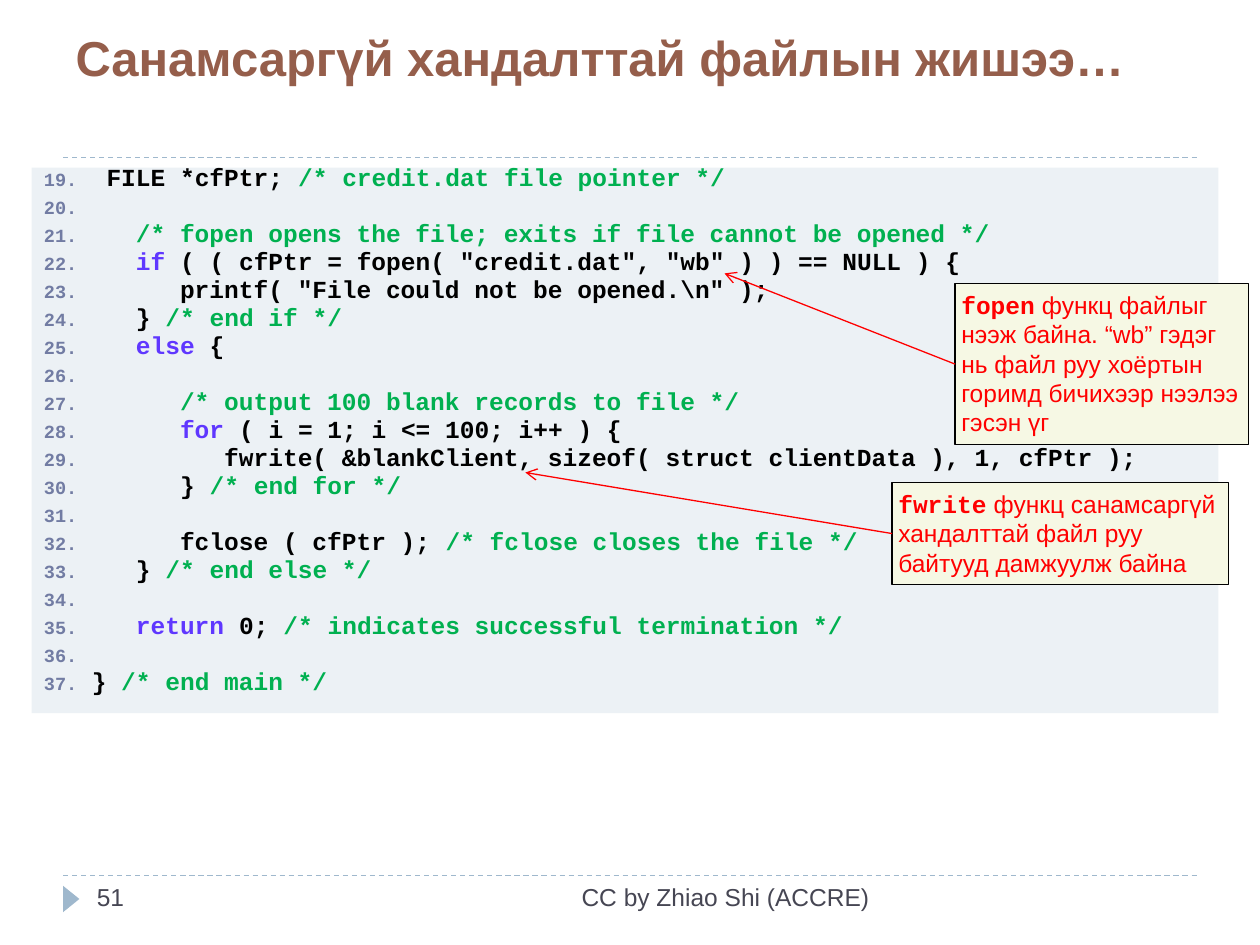
from lxml import etree
from pptx import Presentation
from pptx import util as u
from pptx.dml.color import RGBColor
from pptx.enum import dml, shapes, text
from pptx.oxml import ns

BROWN = RGBColor(0x95, 0x5E, 0x4B)
SLATE = RGBColor(0x46, 0x46, 0x53)
SKY = RGBColor(0x9F, 0xB8, 0xCD)
PANEL = RGBColor(0xEC, 0xF1, 0xF5)
CREAM = RGBColor(0xF6, 0xF8, 0xE4)
RED = RGBColor(0xFF, 0x00, 0x00)
BLACK = RGBColor(0x00, 0x00, 0x00)
GREEN = RGBColor(0x00, 0xB0, 0x50)
VIOLET = RGBColor(0x5F, 0x37, 0xFF)
NUMBER_COLOR = "727CA3"

SANS, MONO = "Arial", "Courier New"
TITLE = "Санамсаргүй хандалттай файлын жишээ…"
FIRST_LINE = 19
BLANK = [(" ", GREEN)]
CODE = [
    [(" ", GREEN), ("FILE *cfPtr; ", BLACK), ("/* credit.dat file pointer */", GREEN)],
    BLANK,
    [("   /* fopen opens the file; exits if file cannot be opened */", GREEN)],
    [("   if ", VIOLET), ('( ( cfPtr = fopen( "credit.dat", "wb" ) ) == NULL ) {', BLACK)],
    [('      printf( "File could not be opened.\\n" );', BLACK)],
    [("   } ", BLACK), ("/* end if */", GREEN)],
    [("   else", VIOLET), (" {", BLACK)],
    BLANK,
    [("      /* output 100 blank records to file */", GREEN)],
    [("      for", VIOLET), (" ( i = 1; i <= 100; i++ ) {", BLACK)],
    [("         fwrite( &blankClient, sizeof( struct clientData ), 1, cfPtr );", BLACK)],
    [("      } ", BLACK), ("/* end for */", GREEN)],
    BLANK,
    [("      fclose ( cfPtr ); ", BLACK), ("/* fclose closes the file */", GREEN)],
    [("   }", BLACK), (" /* end else */", GREEN)],
    BLANK,
    [("   return", VIOLET), (" 0; ", BLACK), ("/* indicates successful termination */", GREEN)],
    BLANK,
    [("}", BLACK), (" /* end main */", GREEN)],
]
CALLOUTS = [
    ("fopen", " функц файлыг нээж байна. “wb” гэдэг нь файл руу хоёртын горимд бичихээр нээлээ гэсэн үг",
     (7.58, 2.25, 2.33, 1.28), (5.75, 2.17)),
    ("fwrite", " функц санамсаргүй хандалттай файл руу байтууд дамжуулж байна",
     (7.08, 3.83, 2.67, 0.81), (4.17, 3.75)),
]
FOOTERS = [
    ("51", (0.67, 6.95, 2.17, 0.4), text.PP_ALIGN.LEFT),
    ("CC by Zhiao Shi (ACCRE)", (3.17, 6.95, 3.83, 0.4), text.PP_ALIGN.RIGHT),
]
RULES = [1.25, 6.95]


def inches(values):
    return [u.Inches(value) for value in values]


def add_span(para, words, color, font=SANS, size=14, bold=False):
    span = para.add_run()
    span.text = words
    span.font.name = font
    span.font.size = u.Pt(size)
    span.font.bold = bold
    span.font.color.rgb = color


def add_box(page, place, fill, kind=shapes.MSO_SHAPE.RECTANGLE, line=None):
    box = page.shapes.add_shape(kind, *inches(place))
    box.shadow.inherit = False
    box.fill.solid()
    box.fill.fore_color.rgb = fill
    if line is None:
        box.line.fill.background()
    else:
        box.line.color.rgb = line
        box.line.width = u.Pt(0.75)
    box.text_frame.word_wrap = True
    box.text_frame.vertical_anchor = text.MSO_ANCHOR.TOP
    return box


def add_line(page, start, end, color):
    line = page.shapes.add_connector(shapes.MSO_CONNECTOR.STRAIGHT, *inches(start + end))
    line.line.color.rgb = color
    line.line.width = u.Pt(0.75)
    etree.SubElement(line._element.spPr, ns.qn("a:effectLst"))
    return line


def number_line(para):
    props = para._p.get_or_add_pPr()
    props.set("marL", str(u.Inches(0.38)))
    props.set("indent", str(-u.Inches(0.38)))
    color = etree.SubElement(props, ns.qn("a:buClr"))
    etree.SubElement(color, ns.qn("a:srgbClr"), val=NUMBER_COLOR)
    etree.SubElement(props, ns.qn("a:buSzPct"), val="76000")
    etree.SubElement(props, ns.qn("a:buFont"), typeface=MONO)
    etree.SubElement(props, ns.qn("a:buAutoNum"), type="arabicPeriod", startAt=str(FIRST_LINE))


def add_title(page):
    title = page.shapes.title
    title.left, title.top, title.width, title.height = inches((0.5, 0.17, 9, 1.08))
    frame = title.text_frame
    frame.word_wrap = True
    frame.vertical_anchor = text.MSO_ANCHOR.TOP
    para = frame.paragraphs[0]
    para.alignment = text.PP_ALIGN.LEFT
    add_span(para, TITLE, BROWN, size=28, bold=True)


def add_code(page):
    frame = add_box(page, (0.25, 1.33, 9.42, 4.33), PANEL).text_frame
    for index, line in enumerate(CODE):
        para = frame.add_paragraph() if index else frame.paragraphs[0]
        number_line(para)
        para.alignment = text.PP_ALIGN.LEFT
        para.line_spacing = u.Pt(10)
        para.space_before = u.Pt(6 if index else 0)
        for words, color in line:
            add_span(para, words, color, MONO, bold=True)


def add_callout(page, name, words, place, target):
    box = add_box(page, place, CREAM, line=BLACK)
    frame = box.text_frame
    frame.margin_left = frame.margin_right = u.Inches(0.05)
    frame.margin_top = frame.margin_bottom = u.Inches(0.05)
    frame.auto_size = text.MSO_AUTO_SIZE.SHAPE_TO_FIT_TEXT
    para = frame.paragraphs[0]
    para.alignment = text.PP_ALIGN.LEFT
    add_span(para, name, RED, MONO, bold=True)
    add_span(para, words, RED)
    left, top, _, height = place
    arrow = add_line(page, (left, top + height / 2), target, RED)
    etree.SubElement(arrow.line._get_or_add_ln(), ns.qn("a:tailEnd"), type="arrow")


def add_footer(page, words, place, alignment):
    frame = page.shapes.add_textbox(*inches(place)).text_frame
    frame.word_wrap = True
    para = frame.paragraphs[0]
    para.alignment = alignment
    add_span(para, words, SLATE)


def main():
    deck = Presentation()
    deck.slide_width, deck.slide_height = inches((10, 7.5))
    page = deck.slides.add_slide(deck.slide_layouts[5])
    for top in RULES:
        rule = add_line(page, (0.5, top), (9.5, top), SKY)
        rule.line.dash_style = dml.MSO_LINE.DASH
    marker = add_box(page, (0.46, 7.07, 0.21, 0.13), SKY, shapes.MSO_SHAPE.ISOSCELES_TRIANGLE)
    marker.rotation = 90
    add_title(page)
    add_code(page)
    for footer in FOOTERS:
        add_footer(page, *footer)
    for callout in CALLOUTS:
        add_callout(page, *callout)
    deck.save("out.pptx")


if __name__ == "__main__":
    main()
